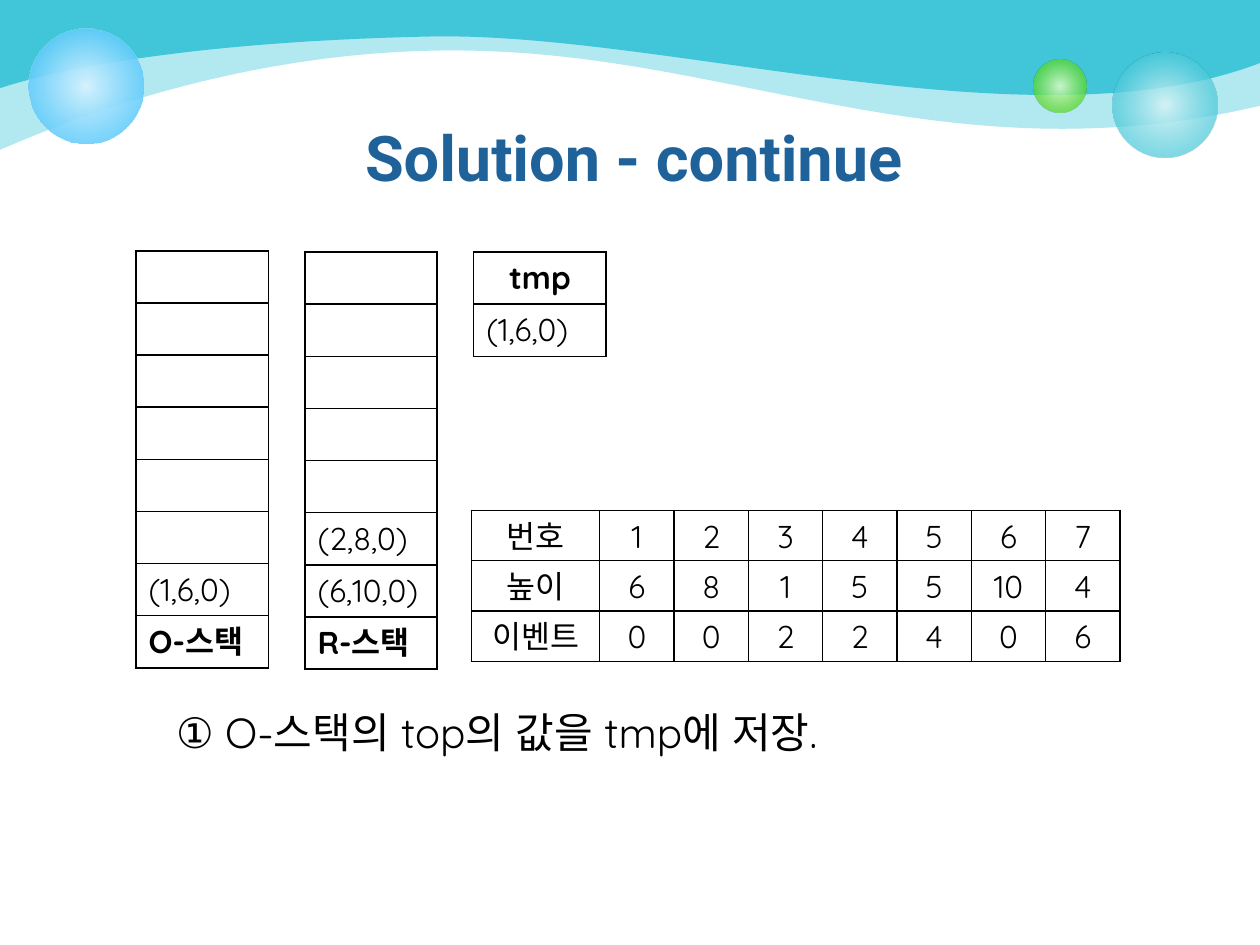
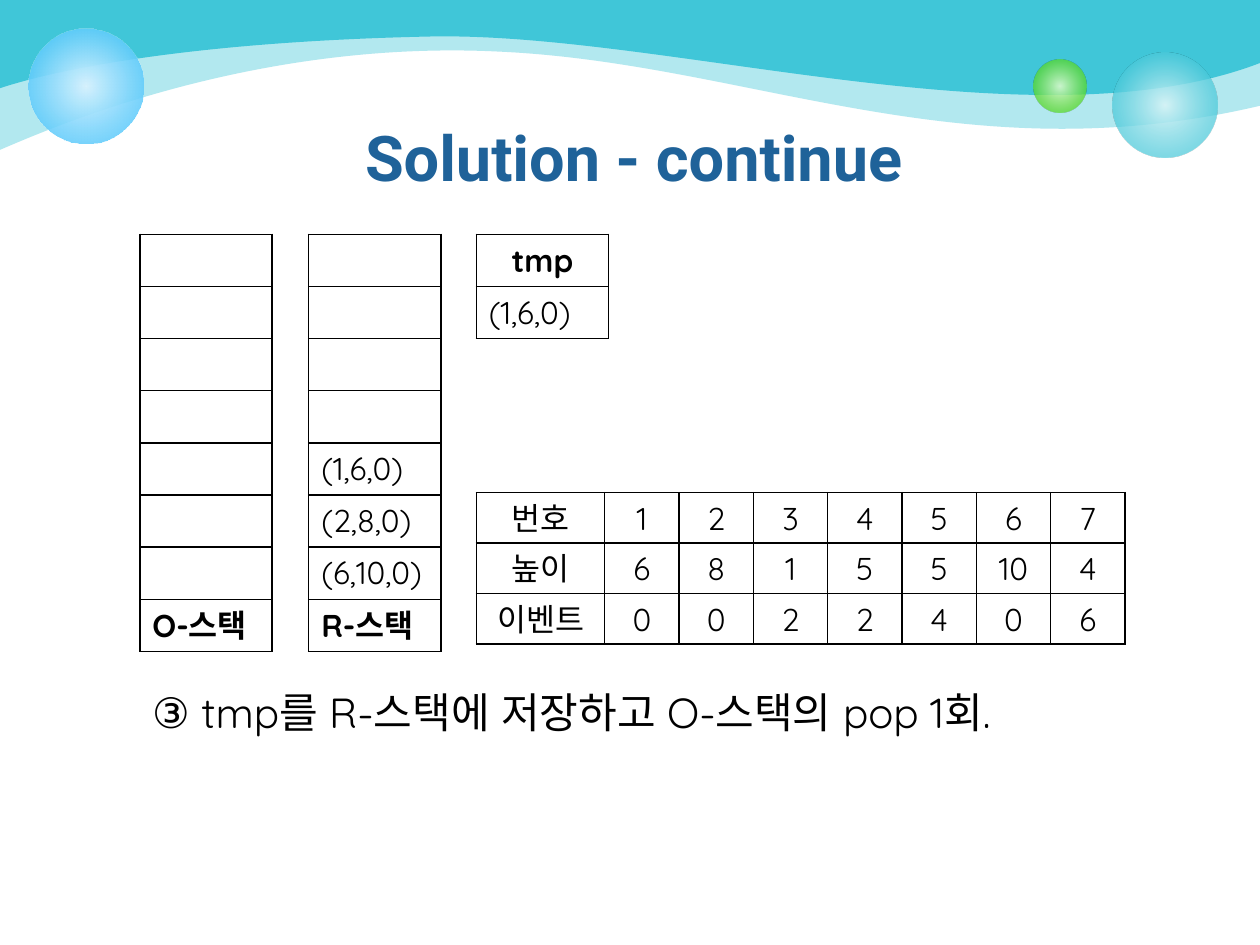
"""Build two slides that follow stack steps of the solution."""
from dataclasses import dataclass
from typing import NamedTuple

from pptx import Presentation, oxml
from pptx.dml.color import RGBColor
from pptx.enum import shapes, text
from pptx.oxml import ns
from pptx.util import Inches, Pt

TEAL = RGBColor(0x40, 0xC6, 0xD8)
PALE_TEAL = RGBColor(0xD9, 0xF4, 0xF7)
GREEN = RGBColor(0x4C, 0xD4, 0x16)
PALE_GREEN = RGBColor(0xDA, 0xFA, 0xCD)
BLUE = RGBColor(0x33, 0xBD, 0xFB)
PALE_BLUE = RGBColor(0xD6, 0xF2, 0xFE)
TITLE_BLUE = RGBColor(0x1F, 0x62, 0x99)
BLACK = RGBColor(0, 0, 0)
TITLE_FONT = "Roboto"
BODY_FONT = "Quicksand"
TABLE_SIZE = 18
STACK_DEPTH = 7
STACK_WIDTH = 1.05
STACK_ROW = 0.41
DATA_COLUMNS = [1.02] + [0.59] * 7
DATA_ROW = 0.19
DATA_HEIGHT = 1.2

Point = tuple[float, float]


class Wave(NamedTuple):
    """Band hanging from the top edge, bounded below by cubic curves."""
    start: Point
    curves: list[tuple[Point, Point, Point]]
    opacity: int


class Bubble(NamedTuple):
    """Round ornament with a radial gradient."""
    left: float
    top: float
    size: float
    center: RGBColor
    center_opacity: int
    rim: RGBColor
    rim_opacity: int
    rim_stop: int


class Cell(NamedTuple):
    """Text of one table cell and its emphasis."""
    text: str = ""
    bold: bool = False
    centered: bool = False


@dataclass
class Grid:
    """Bordered table with equal row heights."""
    left: float
    top: float
    height: float
    columns: list[float]
    row_height: float
    rows: list[list[Cell]]


@dataclass
class Step:
    """One step: stack contents, explanation and places."""
    o_stack: list[str]
    r_stack: list[str]
    stack_places: list[Point]
    data_place: Point
    caption: str
    caption_box: tuple[float, float, float, float]


WAVES = [
    Wave((0, 1.19), [((0.33, 1.05), (1.97, 0.31), (3.96, 0.41)),
                     ((5.95, 0.5), (7.62, 1.4), (10, 0.84))], 40),
    Wave((0, 0.7), [((0.45, 0.55), (1.53, 0.33), (3.41, 0.29)),
                    ((5.29, 0.25), (8.2, 1.19), (10, 0.5))], 100),
]
BUBBLES = [
    Bubble(8.83, 0.42, 0.83, PALE_TEAL, 90, TEAL, 70, 76),
    Bubble(8.2, 0.47, 0.42, PALE_GREEN, 90, GREEN, 70, 76),
    Bubble(0.23, 0.23, 0.91, PALE_BLUE, 100, BLUE, 80, 100),
]
DATA = [
    ["번호", "1", "2", "3", "4", "5", "6", "7"],
    ["높이", "6", "8", "1", "5", "5", "10", "4"],
    ["이벤트", "0", "0", "2", "2", "4", "0", "6"],
]
STEPS = [
    Step(["(1,6,0)"], ["(2,8,0)", "(6,10,0)"],
         [(1.08, 1.99), (2.42, 2), (3.76, 2)], (3.74, 4.05),
         "① O-스택의 top의 값을 tmp에 저장.", (1.3, 5.56, 7.46, 0.58)),
    Step([], ["(1,6,0)", "(2,8,0)", "(6,10,0)"],
         [(1.11, 1.86), (2.45, 1.86), (3.78, 1.86)], (3.78, 3.91),
         "③ tmp를 R-스택에 저장하고 O-스택의 pop 1회.", (1.11, 5.4, 7.78, 0.47)),
]


def bend_edges(shape, wave: Wave) -> None:
    """Turn the lower straight edges of a wave into cubic curves."""
    outline = shape.element.find(".//" + ns.qn("a:path"))
    edges = outline.findall(ns.qn("a:lnTo"))[1:]
    for edge, curve in zip(edges, wave.curves):
        points = "".join(f'<a:pt x="{Inches(x)}" y="{Inches(y)}"/>' for x, y in curve)
        outline.replace(edge, oxml.parse_xml(
            f'<a:cubicBezTo {ns.nsdecls("a")}>{points}</a:cubicBezTo>'))
    height = max(Inches(y) for curve in wave.curves for _, y in curve)
    outline.set("h", str(height))
    shape.height = height


def draw_wave(slide, wave: Wave):
    """Draw a wave and return its shape."""
    corners = [wave.start, *(curve[-1] for curve in wave.curves), (10, 0)]
    builder = slide.shapes.build_freeform(0, 0)
    builder.add_line_segments([(Inches(x), Inches(y)) for x, y in corners])
    shape = builder.convert_to_shape()
    bend_edges(shape, wave)
    shape.shadow.inherit = False
    shape.fill.solid()
    shape.fill.fore_color.rgb = TEAL
    shape.line.fill.background()
    if wave.opacity < 100:
        color = shape.element.spPr.find(".//" + ns.qn("a:srgbClr"))
        color.append(oxml.parse_xml(
            f'<a:alpha {ns.nsdecls("a")} val="{wave.opacity * 1000}"/>'))
    return shape


def draw_bubble(slide, bubble: Bubble):
    """Draw a bubble and return its shape."""
    shape = slide.shapes.add_shape(
        shapes.MSO_SHAPE.OVAL, Inches(bubble.left), Inches(bubble.top),
        Inches(bubble.size), Inches(bubble.size))
    shape.shadow.inherit = False
    shape.line.fill.background()
    shape.fill.background()
    stops = "".join(
        f'<a:gs pos="{position * 1000}"><a:srgbClr val="{color}">'
        f'<a:alpha val="{opacity * 1000}"/></a:srgbClr></a:gs>'
        for position, color, opacity in (
            (0, bubble.center, bubble.center_opacity),
            (bubble.rim_stop, bubble.rim, bubble.rim_opacity)))
    gradient = oxml.parse_xml(
        f'<a:gradFill {ns.nsdecls("a")} rotWithShape="1"><a:gsLst>{stops}</a:gsLst>'
        '<a:path path="circle"><a:fillToRect l="50000" t="50000" r="50000" b="50000"/>'
        '</a:path></a:gradFill>')
    properties = shape.element.spPr
    properties.replace(properties.find(ns.qn("a:noFill")), gradient)
    return shape


def add_scenery(slide, layout) -> None:
    """Draw the shared ornaments and move them to the layout."""
    ornaments = [draw_wave(slide, wave) for wave in WAVES]
    ornaments += [draw_bubble(slide, bubble) for bubble in BUBBLES]
    for shape in ornaments:
        layout.placeholders[0].element.addprevious(shape.element)


def add_run(paragraph, content: str, size: int, color: RGBColor = BLACK,
            font: str = BODY_FONT, bold: bool = False) -> None:
    """Add one formatted run, with the same font for Korean."""
    run = paragraph.add_run()
    run.text = content
    run.font.name = font
    run.font.size = Pt(size)
    run.font.bold = bold
    run.font.color.rgb = color
    latin = run._r.rPr.find(ns.qn("a:latin"))
    latin.addnext(oxml.parse_xml(f'<a:ea {ns.nsdecls("a")} typeface="{font}"/>'))


def size_empty(paragraph) -> None:
    """Give an empty paragraph the table font."""
    paragraph._p.append(oxml.parse_xml(
        f'<a:endParaRPr {ns.nsdecls("a")} sz="{TABLE_SIZE * 100}">'
        f'<a:latin typeface="{BODY_FONT}"/></a:endParaRPr>'))


def set_title(slide) -> None:
    """Place and fill the title."""
    title = slide.shapes.title
    title.left, title.top = Inches(0.53), Inches(0.89)
    title.width, title.height = Inches(9), Inches(0.79)
    frame = title.text_frame
    frame.auto_size = text.MSO_AUTO_SIZE.NONE
    frame.vertical_anchor = text.MSO_ANCHOR.TOP
    paragraph = frame.paragraphs[0]
    paragraph.alignment = text.PP_ALIGN.CENTER
    add_run(paragraph, "Solution - continue", 36, TITLE_BLUE, TITLE_FONT, True)


def set_borders(cell) -> None:
    """Give a cell thin black borders on all sides."""
    properties = cell._tc.get_or_add_tcPr()
    for index, side in enumerate("LRTB"):
        properties.insert(index, oxml.parse_xml(
            f'<a:ln{side} {ns.nsdecls("a")} w="{Pt(1)}"><a:solidFill>'
            f'<a:srgbClr val="{BLACK}"/></a:solidFill></a:ln{side}>'))


def fill_cell(cell, content: Cell) -> None:
    """Write and border one cell."""
    cell.fill.background()
    set_borders(cell)
    paragraph = cell.text_frame.paragraphs[0]
    if content.centered:
        paragraph.alignment = text.PP_ALIGN.CENTER
    if content.text:
        add_run(paragraph, content.text, TABLE_SIZE, bold=content.bold)
    else:
        size_empty(paragraph)


def draw_grid(slide, grid: Grid) -> None:
    """Draw a bordered table."""
    frame = slide.shapes.add_table(
        len(grid.rows), len(grid.columns), Inches(grid.left), Inches(grid.top),
        Inches(sum(grid.columns)), Inches(grid.height))
    table = frame.table
    table.first_row = table.horz_banding = False
    for column, width in zip(table.columns, grid.columns):
        column.width = Inches(width)
    for row, contents in zip(table.rows, grid.rows):
        row.height = Inches(grid.row_height)
        for cell, content in zip(row.cells, contents):
            fill_cell(cell, content)
    frame.height = Inches(grid.height)


def stack_rows(label: str, entries: list[str]) -> list[list[Cell]]:
    """Return stack rows with entries resting on the label."""
    slots = [""] * (STACK_DEPTH - len(entries)) + entries
    return [[Cell(slot)] for slot in slots] + [[Cell(label, bold=True)]]


def add_caption(slide, step: Step) -> None:
    """Write the explanation below the tables."""
    box = slide.shapes.add_textbox(*map(Inches, step.caption_box))
    box.text_frame.word_wrap = True
    add_run(box.text_frame.paragraphs[0], step.caption, 24)


def fill_slide(slide, step: Step) -> None:
    """Draw the title, stacks, data table and caption of a step."""
    set_title(slide)
    columns = [
        (3.24, stack_rows("O-스택", step.o_stack)),
        (3.24, stack_rows("R-스택", step.r_stack)),
        (0.81, [[Cell("tmp", bold=True, centered=True)], [Cell("(1,6,0)")]]),
    ]
    for place, (height, rows) in zip(step.stack_places, columns):
        draw_grid(slide, Grid(*place, height, [STACK_WIDTH], STACK_ROW, rows))
    add_caption(slide, step)
    data_rows = [[Cell(value, centered=True) for value in row] for row in DATA]
    draw_grid(slide, Grid(*step.data_place, DATA_HEIGHT, DATA_COLUMNS, DATA_ROW, data_rows))


def main() -> None:
    """Build and save the presentation."""
    presentation = Presentation()
    presentation.slide_width, presentation.slide_height = Inches(10), Inches(7.5)
    layout = presentation.slide_layouts[5]
    slides = [presentation.slides.add_slide(layout) for _ in STEPS]
    add_scenery(slides[0], layout)
    for slide, step in zip(slides, STEPS):
        fill_slide(slide, step)
    presentation.save("out.pptx")


if __name__ == "__main__":
    main()
